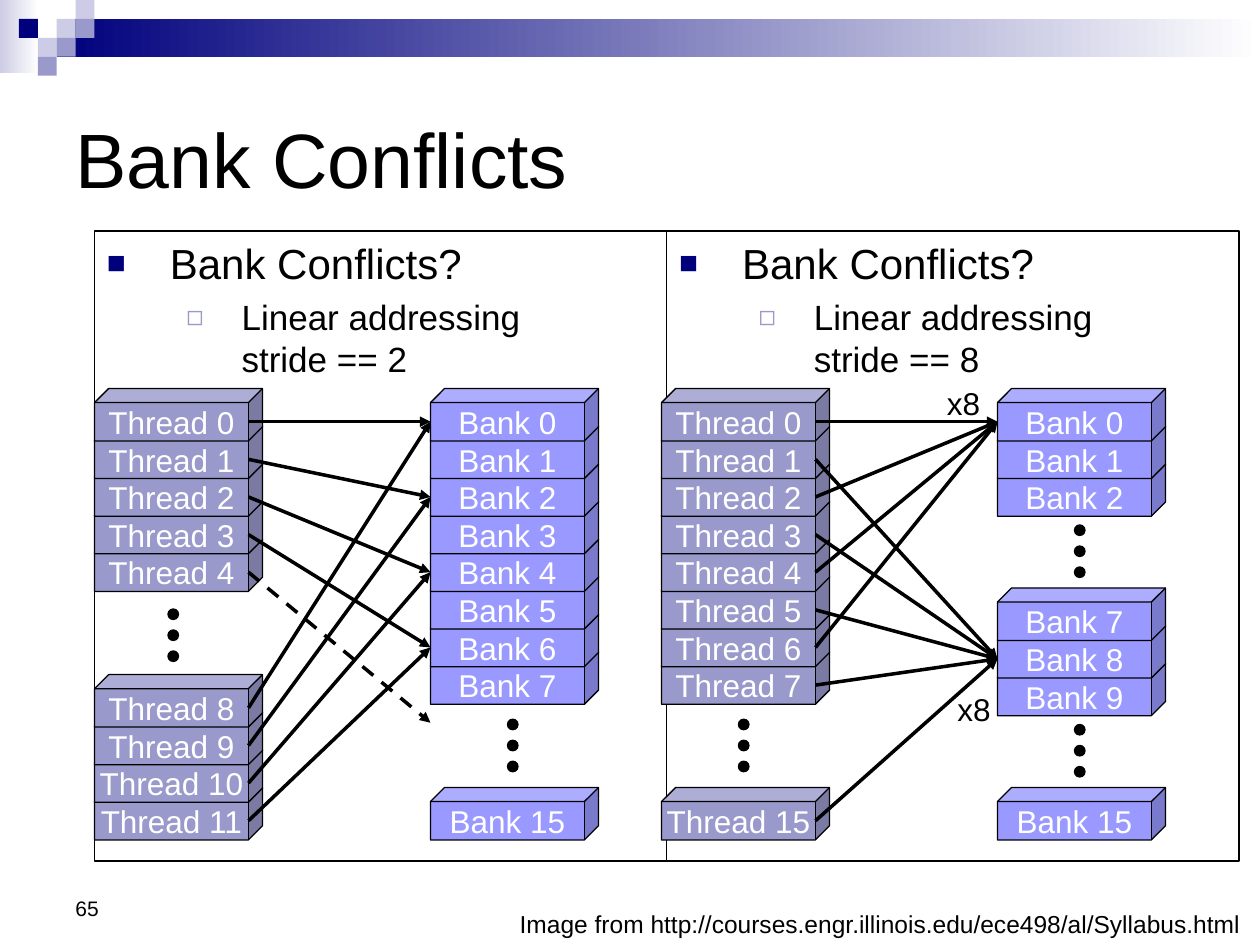
import pptx
import pptx.util
import pptx.dml.color
import pptx.enum.dml
import pptx.enum.shapes
import pptx.enum.text
import pptx.oxml
import pptx.oxml.ns
from dataclasses import dataclass
from lxml import etree

Pt = pptx.util.Pt
RGB = pptx.dml.color.RGBColor.from_string
SHAPE = pptx.enum.shapes.MSO_SHAPE
ALIGN = pptx.enum.text.PP_ALIGN
ANCHOR = pptx.enum.text.MSO_ANCHOR
qn = pptx.oxml.ns.qn


@dataclass
class Theme:
    font: str = "Arial"
    ink: str = "000000"
    paper: str = "FFFFFF"
    navy: str = "00007D"
    pale: str = "CCCCE6"
    thread: str = "9999CC"
    bank: str = "9999FF"
    title: int = 44
    question: int = 24
    detail: int = 20
    label: int = 18
    credit: int = 14
    number: int = 12
    outline: float = 0.75
    arrow: float = 2


theme = Theme()
deck = pptx.Presentation()
deck.slide_width, deck.slide_height = Pt(720), Pt(540)
slide = deck.slides.add_slide(deck.slide_layouts[5])


def add_block(kind, left, top, width, height, fill=None, outline=True):
    block = slide.shapes.add_shape(kind, Pt(left), Pt(top), Pt(width), Pt(height))
    block.shadow.inherit = False
    if isinstance(fill, tuple):
        block.fill.gradient()
        block.fill.gradient_angle = 0
        for stop, position, color in zip(block.fill.gradient_stops, (0, 1), fill):
            stop.position = position
            stop.color.rgb = RGB(color)
    elif fill:
        block.fill.solid()
        block.fill.fore_color.rgb = RGB(fill)
    else:
        block.fill.background()
    if outline:
        block.line.color.rgb = RGB(theme.ink)
        block.line.width = Pt(theme.outline)
    else:
        block.line.fill.background()
    return block


def add_text(paragraph, words, size, color=theme.ink, align=ALIGN.LEFT):
    paragraph.alignment = align
    for index, line in enumerate(words.split("\n")):
        if index:
            paragraph.add_line_break()
        run = paragraph.add_run()
        run.text = line
        run.font.name = theme.font
        run.font.size = Pt(size)
        run.font.color.rgb = RGB(color)


add_block(SHAPE.RECTANGLE, 0, 0, 22, 42, (theme.pale, theme.paper), False)
add_block(SHAPE.RECTANGLE, 32.4, 10.8, 687.6, 21.6, (theme.navy, theme.paper), False)
tile = 10.8
for column, row, color in [
    (3, 1, theme.pale), (4, 0, theme.pale), (4, 1, theme.thread), (2, 2, theme.pale),
    (1, 1, theme.navy), (3, 2, theme.thread), (2, 3, theme.thread),
]:
    add_block(SHAPE.RECTANGLE, column * tile, row * tile, tile, tile, color, False)

title = slide.shapes.title
title.left, title.top, title.width, title.height = Pt(36), Pt(36), Pt(648), Pt(108)
title.text_frame.auto_size = pptx.enum.text.MSO_AUTO_SIZE.NONE
title.text_frame.vertical_anchor = ANCHOR.MIDDLE
add_text(title.text_frame.paragraphs[0], "Bank Conflicts", theme.title)

for left, stride in [(54, 2), (381, 8)]:
    panel = add_block(SHAPE.RECTANGLE, left, 132, 327, 360).text_frame
    panel.vertical_anchor = ANCHOR.TOP
    panel.word_wrap = True
    for level, words, size, margin, hang, mark, color, percent in [
        (0, "Bank Conflicts?", theme.question, 36, 36, "■", theme.navy, 75),
        (1, f"Linear addressing\nstride == {stride}", theme.detail, 77, 31.5, "◻", theme.thread, 80),
    ]:
        point = panel.add_paragraph() if level else panel.paragraphs[0]
        point.level = level
        properties = point._p.get_or_add_pPr()
        properties.set("marL", str(Pt(margin)))
        properties.set("indent", str(-Pt(hang)))
        bullet_color = etree.SubElement(properties, qn("a:buClr"))
        etree.SubElement(bullet_color, qn("a:srgbClr"), val=color)
        etree.SubElement(properties, qn("a:buSzPct"), val=str(percent * 1000))
        etree.SubElement(properties, qn("a:buFont"), typeface=theme.font)
        etree.SubElement(properties, qn("a:buChar"), char=mark)
        if level:
            point.space_before = Pt(4.8)
        add_text(point, words, size)

first_top, pitch, last_top = 222, 21.5, 450
face_width, arrow_drop = 88, 19
scenes = [
    {
        "threads": (54, [(8, 11, 385.5), (0, 4, first_top)], [(96, 348)]),
        "banks": (246, [(15, 15, last_top), (0, 7, first_top)], [(290, 411)]),
        "arrows": [(0, 0), (1, 2), (2, 4), (3, 6), (8, 0), (9, 2), (10, 4), (11, 6), (4, 8)],
    },
    {
        "threads": (378, [(15, 15, last_top), (0, 7, first_top)], [(422, 411)]),
        "banks": (570, [(7, 9, 336), (15, 15, last_top), (0, 2, first_top)], [(614, 414), (614, 300)]),
        "arrows": [(0, 0), (1, 8), (2, 0), (3, 8), (4, 0), (5, 8), (6, 0), (7, 8), (15, 8)],
    },
]
for scene in scenes:
    tops = {"Thread": {}, "Bank": {8: first_top + 8 * pitch}}
    for name, part, color in [("Thread", "threads", theme.thread), ("Bank", "banks", theme.bank)]:
        left, stacks, ellipses = scene[part]
        for first, last, stack_top in stacks:
            for index in range(last, first - 1, -1):
                top = stack_top + (index - first) * pitch
                tops[name][index] = top
                cube = add_block(SHAPE.CUBE, left, top, 96, 30, color)
                cube.adjustments[0] = 0.27
                cube.text_frame.word_wrap = False
                cube.text_frame.vertical_anchor = ANCHOR.MIDDLE
                add_text(cube.text_frame.paragraphs[0], f"{name} {index}", theme.label, theme.paper, ALIGN.CENTER)
        for dot_left, dot_top in ellipses:
            for step in range(3):
                add_block(SHAPE.OVAL, dot_left, dot_top + 12 * step, 6, 6, theme.ink)

    start = scene["threads"][0] + face_width
    end = scene["banks"][0]
    for thread, bank in scene["arrows"]:
        access = slide.shapes.add_connector(
            pptx.enum.shapes.MSO_CONNECTOR.STRAIGHT,
            Pt(start), Pt(tops["Thread"][thread] + arrow_drop),
            Pt(end), Pt(tops["Bank"][bank] + arrow_drop),
        )
        access.line.color.rgb = RGB(theme.ink)
        access.line.width = Pt(theme.arrow)
        if (thread, bank) == (4, 8):
            access.line.dash_style = pptx.enum.dml.MSO_LINE.DASH
        etree.SubElement(access.line._get_or_add_ln(), qn("a:tailEnd"), type="triangle")
        etree.SubElement(access._element.spPr, qn("a:effectLst"))

for words, left, top, width, height, size, align, anchor, wrap in [
    ("x8", 534, 216, 34, 29, theme.label, ALIGN.LEFT, ANCHOR.TOP, False),
    ("x8", 540, 390.5, 34, 29, theme.label, ALIGN.LEFT, ANCHOR.TOP, False),
    ("Image from http://courses.engr.illinois.edu/ece498/al/Syllabus.html",
     0, 516, 720, 24, theme.credit, ALIGN.RIGHT, ANCHOR.TOP, True),
    ("65", 36, 492, 168, 37.5, theme.number, ALIGN.LEFT, ANCHOR.BOTTOM, True),
]:
    note = slide.shapes.add_textbox(Pt(left), Pt(top), Pt(width), Pt(height)).text_frame
    note.word_wrap = wrap
    note.vertical_anchor = anchor
    if align == ALIGN.RIGHT:
        note.margin_right = Pt(11)
    add_text(note.paragraphs[0], words, size, align=align)

deck.save("out.pptx")
